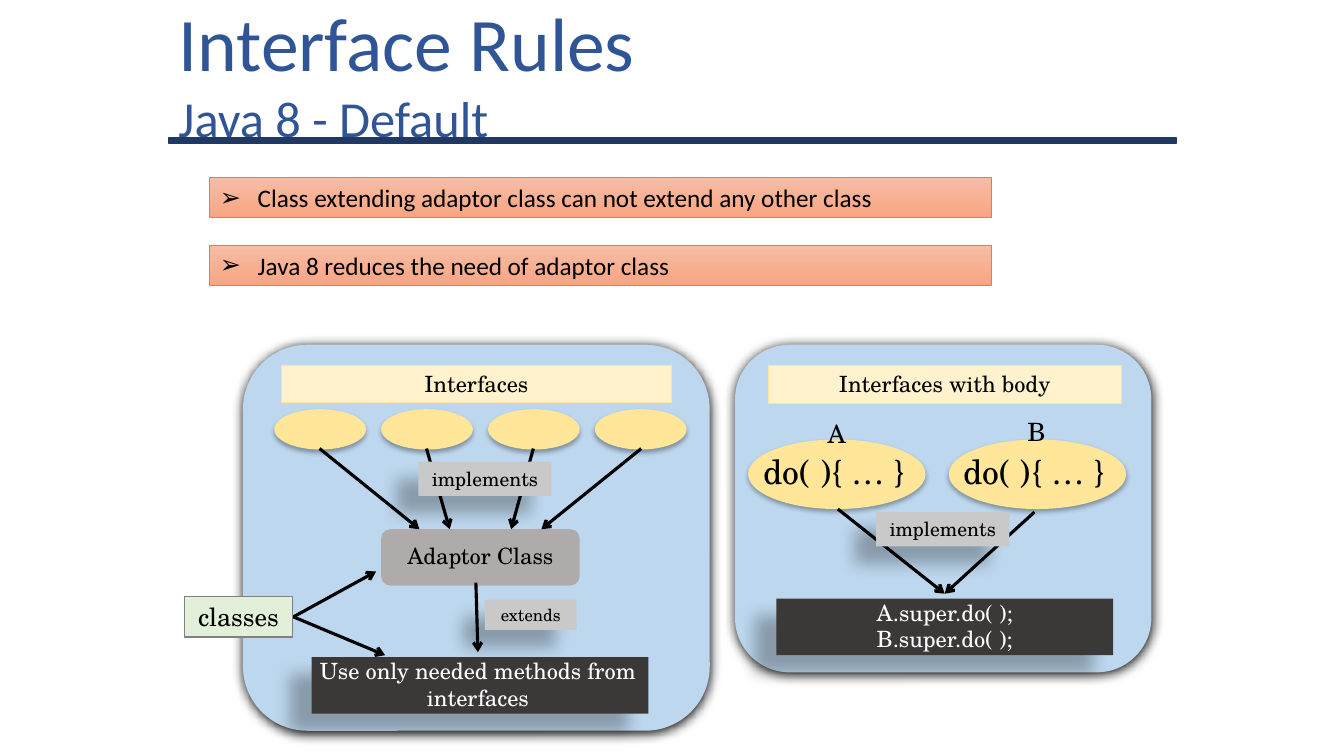
from lxml import etree
from pptx import Presentation
from pptx.dml.color import RGBColor
from pptx.enum.shapes import MSO_CONNECTOR, MSO_SHAPE
from pptx.enum.text import MSO_ANCHOR, MSO_AUTO_SIZE, PP_ALIGN
from pptx.oxml import parse_xml
from pptx.oxml.ns import nsdecls, qn
from pptx.util import Pt

PX = 9144
RECT, ROUND, OVAL = MSO_SHAPE.RECTANGLE, MSO_SHAPE.ROUNDED_RECTANGLE, MSO_SHAPE.OVAL
LEFT, CENTER = PP_ALIGN.LEFT, PP_ALIGN.CENTER
TOP, MIDDLE = MSO_ANCHOR.TOP, MSO_ANCHOR.MIDDLE
NO_FIT = MSO_AUTO_SIZE.NONE
STRAIGHT = MSO_CONNECTOR.STRAIGHT
SERIF = "TeX Gyre Schola"
rgb = RGBColor.from_string
GLOW = (100, 8.5, 1, 90)
SOFT = (32, 3.5, 2.2, 90)
CAST = (28, 11.8, 19.7, 141)

prs = Presentation()
prs.slide_width, prs.slide_height = 1333 * PX, 750 * PX
s = prs.slides.add_slide(prs.slide_layouts[3])


def add_box(kind, at, fill, line=None, width=0.5, shadow=None):
    sp = s.shapes.add_shape(kind, *[v * PX for v in at])
    sp.shadow.inherit = False
    sp.fill.solid()
    sp.fill.fore_color.rgb = rgb(fill)
    if line:
        sp.line.color.rgb = rgb(line)
        sp.line.width = Pt(width)
    else:
        sp.line.fill.background()
    if shadow:
        alpha, blur, dist, angle = shadow
        sp._element.spPr.find(qn("a:effectLst")).append(parse_xml(
            f'<a:outerShdw {nsdecls("a")} blurRad="{Pt(blur)}" dist="{Pt(dist)}" '
            f'dir="{angle * 60000}" algn="ctr" rotWithShape="0"><a:srgbClr val="000000">'
            f'<a:alpha val="{alpha * 1000}"/></a:srgbClr></a:outerShdw>'))
    return sp


def write(sp, lines, size, color="000000", font=SERIF, align=CENTER):
    tf = sp.text_frame
    tf.word_wrap = True
    tf.auto_size = NO_FIT
    tf.vertical_anchor = TOP
    for i, line in enumerate(lines):
        p = tf.add_paragraph() if i else tf.paragraphs[0]
        p.alignment = align
        p.space_before = Pt(0)
        r = p.add_run()
        r.text = line
        r.font.size, r.font.name = Pt(size), font
        r.font.color.rgb = rgb(color)


add_box(RECT, (167, 137, 1000, 5), "203864", "203864", 1)

title = s.shapes.title
title.left, title.top, title.width, title.height = [v * PX for v in (167, 0, 783, 142)]
write(title, ["Interface Rules", "Java 8 - Default"], 54, "2F5597", "Calibri", LEFT)
title.text_frame.vertical_anchor = MIDDLE
title.text_frame.paragraphs[1].runs[0].font.size = Pt(36)

RULES = ["Class extending adaptor class can not extend any other class",
         "Java 8 reduces the need of adaptor class"]
for i, rule in enumerate(RULES):
    sp = s.placeholders[i + 1]
    sp.left, sp.top, sp.width, sp.height = [v * PX for v in (208, 176 + 67 * i, 775, 40)]
    sp.fill.gradient()
    sp.fill.gradient_angle = 270
    for stop, color in zip(sp.fill.gradient_stops, ("F7BDA5", "F8A582")):
        stop.color.rgb = rgb(color)
    sp.line.color.rgb = rgb("ED7D31")
    sp.line.width = Pt(0.5)
    pPr = sp.text_frame.paragraphs[0]._p.get_or_add_pPr()
    pPr.set("marL", "342900")
    pPr.set("indent", "-342900")
    etree.SubElement(pPr, qn("a:buFont")).set("typeface", "Arial")
    etree.SubElement(pPr, qn("a:buChar")).set("char", "➢")
    write(sp, [rule], 18, font="Calibri", align=LEFT)

for at in ((241, 342, 463, 383), (729, 342, 413, 325)):
    add_box(ROUND, at, "BDD7EE", shadow=GLOW)
for i in range(4):
    add_box(OVAL, (272 + 106 * i, 406, 91, 40), "FFE699", shadow=SOFT)
for x in (742, 941):
    add_box(OVAL, (x, 436, 176, 69), "FFE699", shadow=SOFT)
add_box(ROUND, (378, 525, 197, 56), "AFABAB")
for at in ((309, 652, 334, 56), (770, 594, 334, 56)):
    add_box(RECT, at, "3B3838", shadow=CAST)

ARROWS = [(317, 445, 416, 525), (423, 445, 446, 525), (529, 445, 507, 525),
          (636, 445, 537, 525), (291, 612, 382, 650), (291, 612, 373, 567),
          (472, 578, 474, 647), (831, 505, 937, 589), (1026, 508, 937, 589)]
for ends in ARROWS:
    c = s.shapes.add_connector(STRAIGHT, *[v * PX for v in ends])
    c.line.color.rgb = rgb("000000")
    c.line.width = Pt(2.25)
    etree.SubElement(c.line._get_or_add_ln(), qn("a:tailEnd")).set("type", "arrow")
    etree.SubElement(c._element.spPr, qn("a:effectLst"))

LABELS = [("Interfaces", (279, 362, 387, 37), 16, "FFF2CC", "FFE699", 0.5, None),
          ("Interfaces with body", (762, 362, 350, 38), 16, "FFF2CC", "FFE699", 0.5, None),
          ("classes", (183, 592, 107, 40), 18, "E2F0D9", "808080", 0.75, None),
          ("implements", (415, 458, 132, 34), 14, "C9C9C9", None, 0, CAST),
          ("implements", (869, 508, 132, 34), 14, "C9C9C9", None, 0, CAST),
          ("extends", (481, 595, 91, 30), 12, "C9C9C9", None, 0, CAST)]
for text, at, size, fill, line, width, shadow in LABELS:
    write(add_box(RECT, at, fill, line, width, shadow), [text], size)

TEXTS = [(["Adaptor Class"], (378, 533, 197, 37), 16),
         (["Use only needed methods from interfaces"], (307, 647, 334, 64), 16, "FFFFFF"),
         (["A.super.do( );", "B.super.do( );"], (770, 589, 334, 64), 16, "FFFFFF"),
         (["do( ){ … }"], (737, 442, 182, 50), 24),
         (["do( ){ … }"], (935, 442, 182, 50), 24),
         (["A"], (811, 410, 41, 40), 18, "000000", SERIF, LEFT),
         (["B"], (1009, 408, 41, 40), 18, "000000", SERIF, LEFT)]
for lines, at, *style in TEXTS:
    write(s.shapes.add_textbox(*[v * PX for v in at]), lines, *style)

prs.save("out.pptx")
